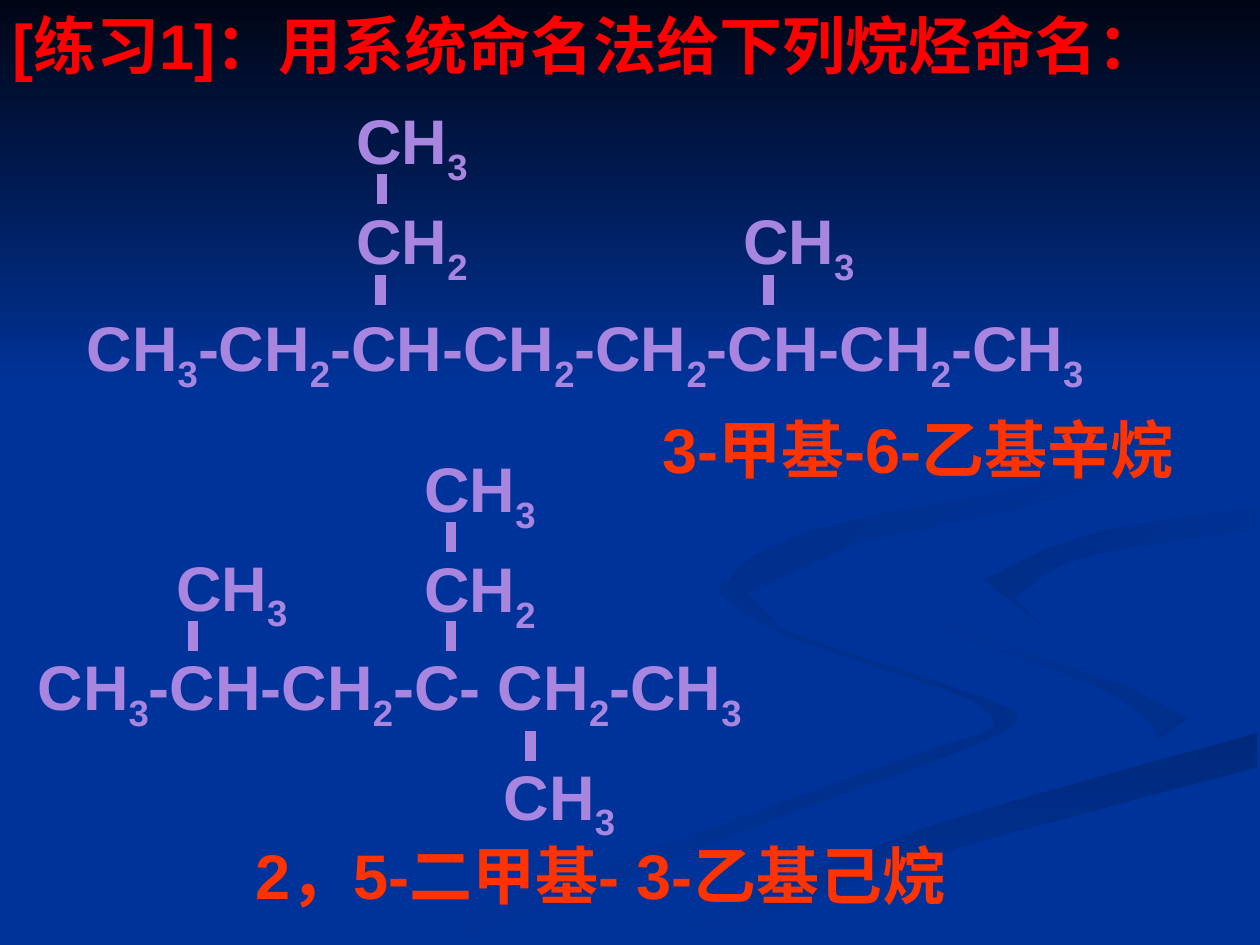
import itertools

import pptx
import pptx.util
import pptx.dml.color
import pptx.enum.shapes
import pptx.enum.text
import pptx.oxml

RGBColor = pptx.dml.color.RGBColor
NAVY = RGBColor(0x00, 0x33, 0x99)
MIDNIGHT = RGBColor(0x00, 0x05, 0x14)
SHADE = RGBColor(0x00, 0x2C, 0x85)
DEEP_SHADE = RGBColor(0x00, 0x29, 0x7C)
PALE_SHADE = RGBColor(0x00, 0x2E, 0x8A)
RED = RGBColor(0xFF, 0x00, 0x00)
ORANGE = RGBColor(0xFF, 0x33, 0x00)
LILAC = RGBColor(0xA8, 0x86, 0xE0)

CELL = pptx.util.Inches(0.01)
COLUMNS, ROWS = 1000, 750
GROUP_WIDTH, LINE_HEIGHT, BOND_LENGTH = 108, 79, 24
CURVE_STEPS = 6
FONT_FORMAT = {"name": "Arial", "size": pptx.util.Pt(36), "bold": True}
FRAME_FORMAT = {
    "margin_left": 10 * CELL,
    "margin_right": 10 * CELL,
    "margin_top": 5 * CELL,
    "margin_bottom": 5 * CELL,
    "vertical_anchor": pptx.enum.text.MSO_ANCHOR.TOP,
    "auto_size": pptx.enum.text.MSO_AUTO_SIZE.NONE,
}

RIBBONS = [
    ([[(781, 553), (614, 496), (575, 459)],
      [(570, 470), (620, 503), (785, 566), (699, 609), (300, 749)],
      [(361, 749), (623, 647), (799, 580), (781, 553)]], (PALE_SHADE, NAVY), 180),
    ([[(943, 570), (850, 524), (745, 490), (724, 464)],
      [(746, 500), (868, 544), (918, 581), (894, 605)]], (PALE_SHADE, NAVY), 225),
    ([[(571, 749), (695, 692), (998, 609)],
      [(998, 581), (764, 647), (503, 749)]], (DEEP_SHADE, NAVY), 90),
    ([[(725, 464), (793, 509), (943, 570), (813, 625), (477, 749)],
      [(519, 747), (696, 669), (999, 581)],
      [(999, 538), (848, 503), (781, 463), (865, 424), (999, 402)],
      [(999, 387), (788, 422), (725, 464)]], (NAVY, NAVY), 0),
    ([[(781, 460), (826, 496)],
      [(805, 474), (859, 443), (998, 420)],
      [(998, 402), (865, 424), (781, 460)]], (NAVY, SHADE), 225),
    ([[(683, 430), (855, 391), (894, 344), (843, 275), (762, 233)],
      [(846, 279), (889, 335), (842, 378), (649, 420), (578, 462), (622, 500)],
      [(593, 470), (683, 430)]], (NAVY, SHADE), 225),
]

OCTANE_BRANCHES = [
    ("CH3", 521, -85, 30, 63),
    ("CH3", 214, -164, 30, 62),
    ("CH2", 214, -85, 29, 63),
]
HEXANE_BRANCHES = [
    ("CH3", 110, -79, 23, 63),
    ("CH3", 370, 87, 31, -16),
    ("CH3", 307, -157, 31, 62),
    ("CH2", 307, -78, 31, 62),
]


def place(box):
    """Turn a box in grid cells into lengths."""
    return [round(value * CELL) for value in box]


def smooth_edge(points):
    """Return points on a Catmull-Rom curve through the given ones."""
    padded = [points[0], *points, points[-1]]
    curve = [points[0]]
    for before, start, end, after in zip(padded, padded[1:], padded[2:], padded[3:]):
        for step in range(1, CURVE_STEPS + 1):
            t = step / CURVE_STEPS
            curve.append(tuple(
                round(b + t * (c - a + t * (2 * a - 5 * b + 4 * c - d
                                            + t * (3 * b - a - 3 * c + d))) / 2)
                if before != start and end != after
                else round(b + t * ((c - a) / 2 + t * (a - 2.5 * b + 2 * c - d / 2
                                                       + t * (1.5 * b - a / 2 - 1.5 * c + d / 2))))
                for a, b, c, d in zip(before, start, end, after)))
    return curve


def shade(shape, colors, angle):
    """Give a shape a two-colour gradient without outline or shadow."""
    shape.shadow.inherit = False
    shape.line.fill.background()
    shape.fill.gradient()
    shape.fill.gradient_angle = (360 - angle) % 360
    for position, (stop, color) in enumerate(zip(shape.fill.gradient_stops, colors)):
        stop.color.rgb = color
        stop.position = position


def draw_backdrop(slide, box):
    """Fill the background with ribbons below a dark sky."""
    slide.background.fill.solid()
    slide.background.fill.fore_color.rgb = NAVY
    left, top, width, height = place(box)
    for edges, colors, angle in RIBBONS:
        outline = list(itertools.chain.from_iterable(map(smooth_edge, edges)))
        builder = slide.shapes.build_freeform(*outline[0], scale=CELL)
        builder.add_line_segments(outline[1:], close=True)
        shade(builder.convert_to_shape(left, top), colors, angle)
    sky = slide.shapes.add_shape(
        pptx.enum.shapes.MSO_SHAPE.RECTANGLE, left, top, width, round(height * 0.41))
    shade(sky, (MIDNIGHT, NAVY), 90)


def write_line(shape, text, color, wrap=True, subscripts=False):
    """Write one left-aligned line, lowering its digits when asked."""
    frame = shape.text_frame
    for name, value in FRAME_FORMAT.items():
        setattr(frame, name, value)
    frame.word_wrap = wrap
    paragraph = frame.paragraphs[0]
    paragraph.alignment = pptx.enum.text.PP_ALIGN.LEFT
    pieces = itertools.groupby(text, str.isdigit) if subscripts else [(False, text)]
    for lowered, characters in pieces:
        run = paragraph.add_run()
        run.text = "".join(characters)
        for name, value in FONT_FORMAT.items():
            setattr(run.font, name, value)
        run.font.color.rgb = color
        if lowered:
            run._r.get_or_add_rPr().set("baseline", "-25000")


def draw_title(slide, box, text):
    """Place the exercise title in front of the backdrop."""
    title = slide.shapes.title
    slide.shapes._spTree.append(title._element)
    title.left, title.top, title.width, title.height = place(box)
    write_line(title, text, RED)


def draw_bond(group, left, top):
    """Draw one vertical bond."""
    start_x, start_y, end_y = place((left, top, top + BOND_LENGTH))
    bond = group.shapes.add_connector(
        pptx.enum.shapes.MSO_CONNECTOR.STRAIGHT, start_x, start_y, start_x, end_y)
    bond.line.color.rgb = LILAC
    bond.line.width = pptx.util.Pt(6)
    bond._element.spPr.append(pptx.oxml.parse_xml(
        '<a:effectLst xmlns:a="http://schemas.openxmlformats.org/drawingml/2006/main"/>'))


def draw_molecule(slide, box, chain, branches):
    """Draw a main chain in its box with branches offset from its corner."""
    left, top = box[:2]
    group = slide.shapes.add_group_shape()
    write_line(group.shapes.add_textbox(*place(box)), chain, LILAC, subscripts=True)
    for formula, column, row, bond_column, bond_row in branches:
        x, y = left + column, top + row
        label = group.shapes.add_textbox(*place((x, y, GROUP_WIDTH, LINE_HEIGHT)))
        write_line(label, formula, LILAC, wrap=False, subscripts=True)
        draw_bond(group, x + bond_column, y + bond_row)


def draw_answer(slide, box, text):
    """Write the systematic name of a molecule."""
    write_line(slide.shapes.add_textbox(*place(box)), text, ORANGE)


def main():
    """Build and save the naming exercise."""
    presentation = pptx.Presentation()
    presentation.slide_width, presentation.slide_height = place((COLUMNS, ROWS))
    slide = presentation.slides.add_slide(presentation.slide_layouts[5])
    draw_backdrop(slide, (0, 0, COLUMNS, ROWS))
    draw_title(slide, (0, 0, 921, 70), "[练习1]：用系统命名法给下列烷烃命名：")
    draw_molecule(slide, (59, 240, 843, LINE_HEIGHT),
                  "CH3-CH2-CH-CH2-CH2-CH-CH2-CH3", OCTANE_BRANCHES)
    draw_molecule(slide, (20, 509, 819, LINE_HEIGHT),
                  "CH3-CH-CH2-C- CH2-CH3", HEXANE_BRANCHES)
    draw_answer(slide, (516, 321, 472, 70), "3-甲基-6-乙基辛烷")
    draw_answer(slide, (193, 659, 752, 70), "2，5-二甲基- 3-乙基己烷")
    presentation.save("out.pptx")


if __name__ == "__main__":
    main()
